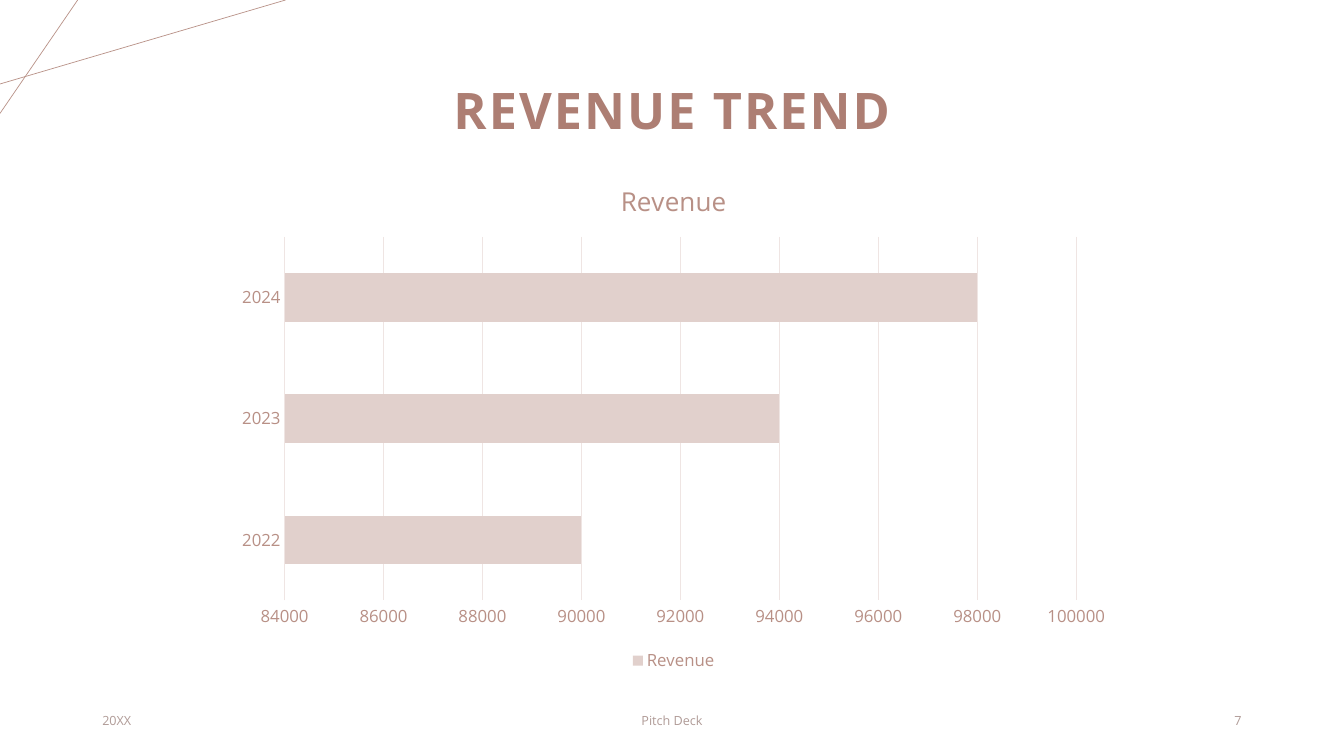
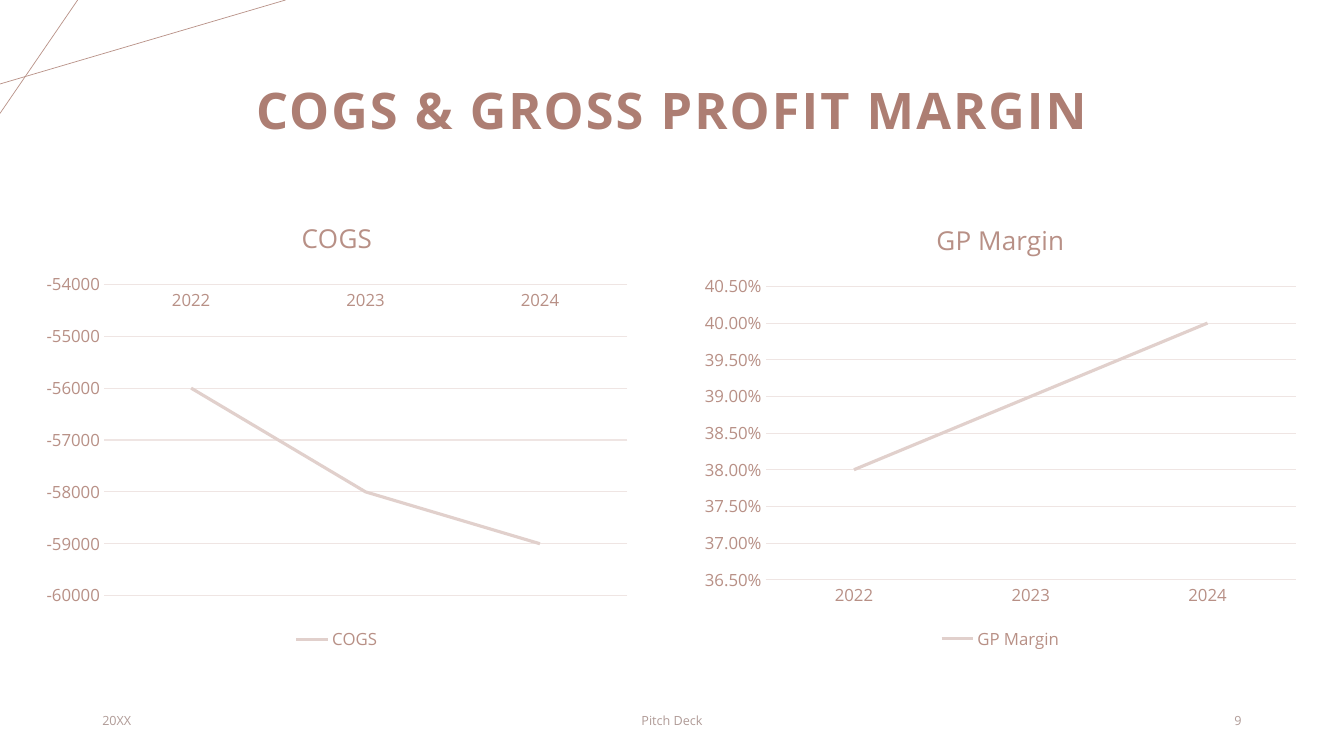
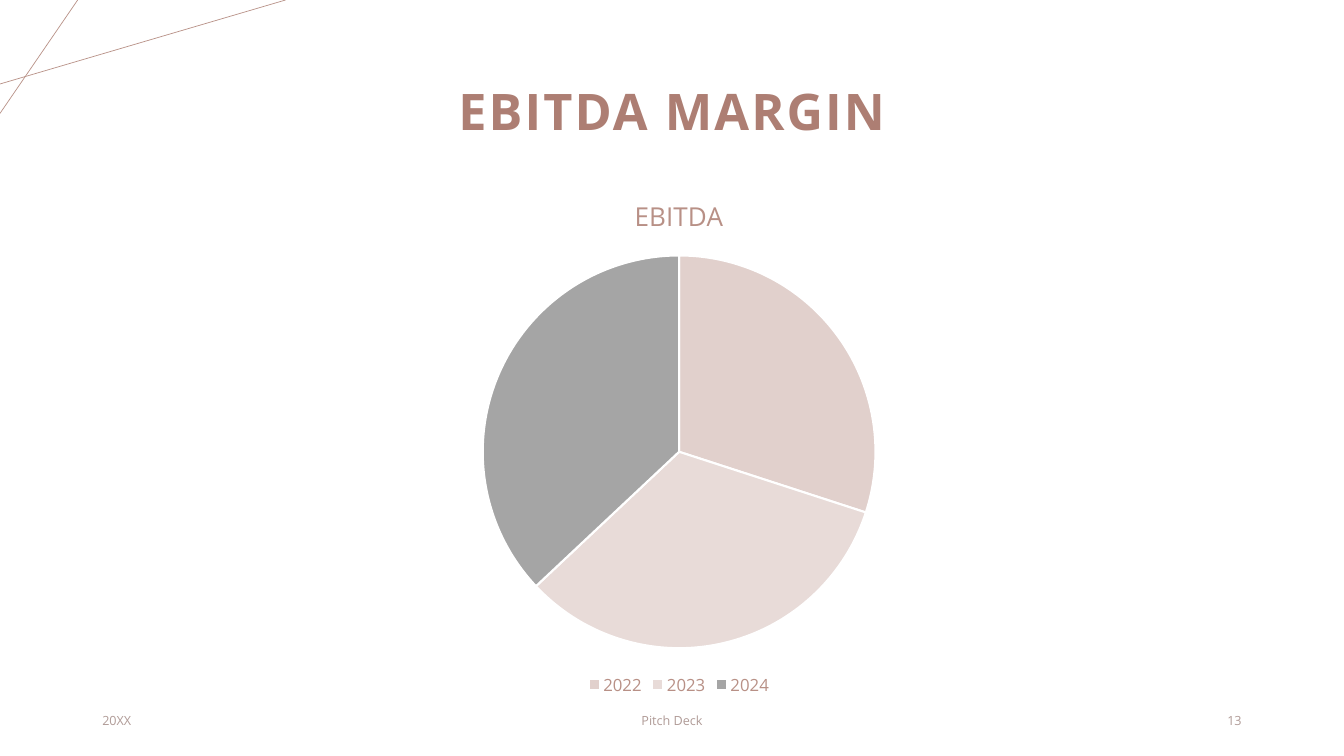
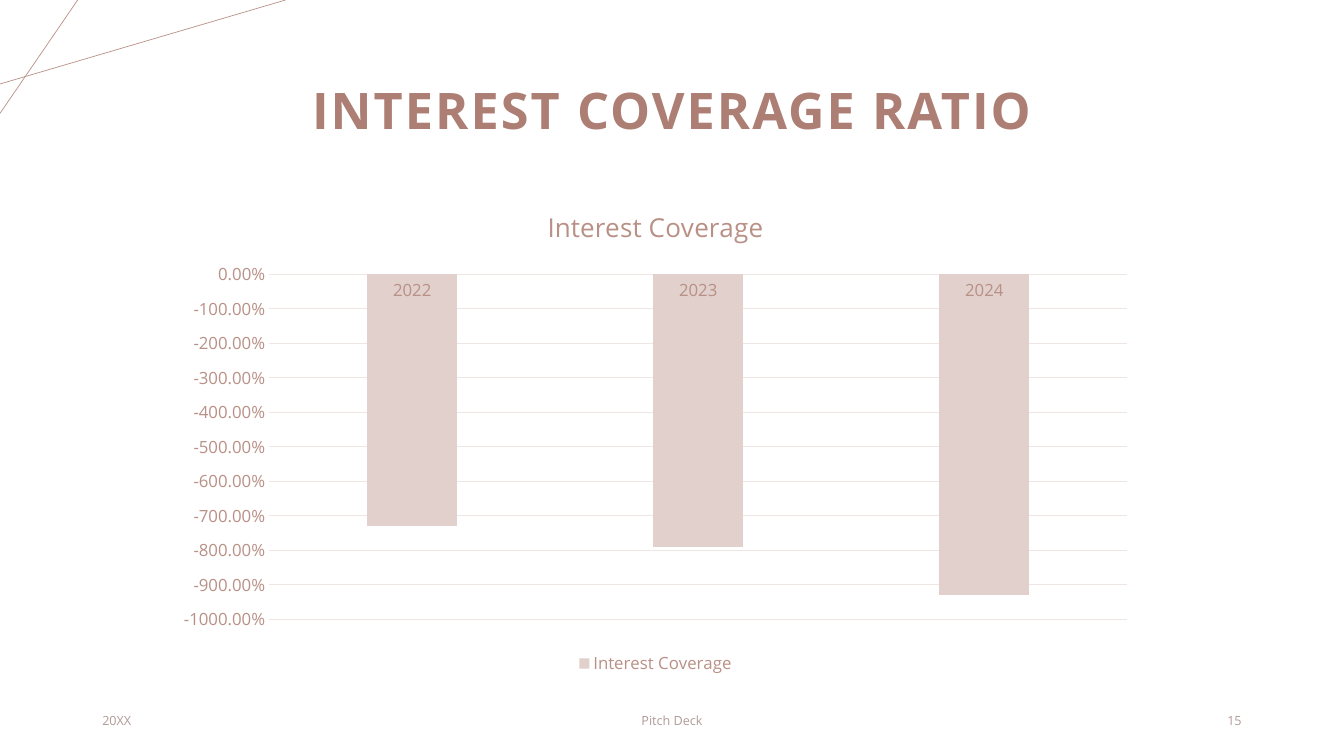
from lxml import etree
from pptx import Presentation
from pptx.chart.data import CategoryChartData
from pptx.dml.color import RGBColor
from pptx.enum.chart import XL_CHART_TYPE, XL_LEGEND_POSITION, XL_MARKER_STYLE, XL_TICK_MARK
from pptx.enum.shapes import MSO_CONNECTOR
from pptx.enum.text import MSO_ANCHOR, PP_ALIGN
from pptx.oxml.ns import qn
from pptx.util import Inches, Pt

BAR = XL_CHART_TYPE.BAR_CLUSTERED
COLUMN = XL_CHART_TYPE.COLUMN_CLUSTERED
LINE = XL_CHART_TYPE.LINE
LINE_STACKED = XL_CHART_TYPE.LINE_STACKED
PIE = XL_CHART_TYPE.PIE
BOTTOM = XL_LEGEND_POSITION.BOTTOM
NO_MARKER = XL_MARKER_STYLE.NONE
NO_TICK = XL_TICK_MARK.NONE
STRAIGHT = MSO_CONNECTOR.STRAIGHT
MIDDLE = MSO_ANCHOR.MIDDLE
LEFT, CENTER, RIGHT = PP_ALIGN.LEFT, PP_ALIGN.CENTER, PP_ALIGN.RIGHT

COLUMNS, ROWS = 160, 90
FONT = "Open Sans"
COLORS = {
    "title": "AD7E73",
    "footer": "B09B97",
    "accent_line": "B99288",
    "chart_text": "B89086",
    "grid": "EFE5E3",
    "series": "E1D0CC",
    "light": "E8DBD8",
    "gray": "A5A5A5",
    "white": "FFFFFF",
}
SLICES = ("series", "light", "gray")
YEARS = ("2022", "2023", "2024")


def color(name):
    return RGBColor.from_string(COLORS[name])


def style_font(font, size, name, bold=False):
    font.name = FONT
    font.size = Pt(size)
    font.bold = bold
    font.color.rgb = color(name)


def style_line(line, name, width):
    line.color.rgb = color(name)
    line.width = Pt(width)


class Deck:
    def __init__(self):
        self.presentation = Presentation()
        self.presentation.slide_width = Inches(13.333)
        self.presentation.slide_height = Inches(7.5)
        self.slide = None

    def across(self, columns):
        return round(self.presentation.slide_width * columns / COLUMNS)

    def down(self, rows):
        return round(self.presentation.slide_height * rows / ROWS)

    def box(self, left, top, width, height):
        return self.across(left), self.down(top), self.across(width), self.down(height)

    def add_slide(self, title, number, title_top=4.8):
        self.slide = self.presentation.slides.add_slide(self.presentation.slide_layouts[6])
        self.add_line(0, 10, 34, 0)
        self.add_line(9.25, 0, 0, 13.5)
        paragraph = self.add_text(title, (11, title_top, 138, 17.4), CENTER, 36, "title", True)
        paragraph.line_spacing = 0.9
        paragraph.runs[0].font._element.set("spc", "150")
        footers = (("20XX", 11, 36, LEFT), ("Pitch Deck", 53, 54, CENTER), (number, 113, 36, RIGHT))
        for text, left, width, alignment in footers:
            self.add_text(text, (left, 83.4, width, 4.8), alignment, 9, "footer")

    def add_line(self, start_column, start_row, end_column, end_row):
        connector = self.slide.shapes.add_connector(
            STRAIGHT, self.across(start_column), self.down(start_row),
            self.across(end_column), self.down(end_row))
        style_line(connector.line, "accent_line", 0.5)
        etree.SubElement(connector._element.spPr, qn("a:effectLst"))

    def add_text(self, text, place, alignment, size, color_name, bold=False):
        frame = self.slide.shapes.add_textbox(*self.box(*place)).text_frame
        frame.word_wrap = True
        frame.vertical_anchor = MIDDLE
        paragraph = frame.paragraphs[0]
        paragraph.alignment = alignment
        run = paragraph.add_run()
        run.text = text
        style_font(run.font, size, color_name, bold)
        return paragraph

    def add_chart(self, kind, title, values, place, number_format="General"):
        data = CategoryChartData(number_format=number_format)
        data.categories = YEARS
        data.add_series(title, values)
        chart = self.slide.shapes.add_chart(kind, *self.box(*place), data).chart
        style_font(chart.font, 12, "chart_text")
        chart.has_title = True
        run = chart.chart_title.text_frame.paragraphs[0].add_run()
        run.text = title
        style_font(run.font, 18.6, "chart_text")
        chart.has_legend = True
        chart.legend.position = BOTTOM
        chart.legend.include_in_layout = False
        style_font(chart.legend.font, 12, "chart_text")
        return chart

    def style_axes(self, chart, scale, number_format):
        category_axis, value_axis = chart.category_axis, chart.value_axis
        for axis in (category_axis, value_axis):
            axis.major_tick_mark = axis.minor_tick_mark = NO_TICK
            style_font(axis.tick_labels.font, 12, "chart_text")
        category_axis.has_major_gridlines = False
        style_line(category_axis.format.line, "grid", 0.75)
        value_axis.has_major_gridlines = True
        style_line(value_axis.major_gridlines.format.line, "grid", 0.75)
        value_axis.format.line.fill.background()
        value_axis.minimum_scale, value_axis.maximum_scale, value_axis.major_unit = scale
        value_axis.tick_labels.number_format = number_format
        value_axis.tick_labels.number_format_is_linked = False

    def add_bars(self, kind, title, values, place, scale, gap, overlap=0, number_format="General"):
        chart = self.add_chart(kind, title, values, place, number_format)
        self.style_axes(chart, scale, number_format)
        plot = chart.plots[0]
        plot.vary_by_categories = False
        plot.gap_width = gap
        plot.overlap = overlap
        series = plot.series[0]
        series.invert_if_negative = False
        series.format.fill.solid()
        series.format.fill.fore_color.rgb = color("series")

    def add_trend(self, kind, title, values, place, scale, number_format="General"):
        chart = self.add_chart(kind, title, values, place, number_format)
        self.style_axes(chart, scale, number_format)
        plot = chart.plots[0]
        plot.vary_by_categories = False
        series = plot.series[0]
        series.smooth = False
        series.marker.style = NO_MARKER
        style_line(series.format.line, "series", 2.25)

    def add_pie(self, title, values, place):
        plot = self.add_chart(PIE, title, values, place).plots[0]
        plot.vary_by_categories = True
        for index, name in enumerate(SLICES):
            point_format = plot.series[0].points[index].format
            point_format.fill.solid()
            point_format.fill.fore_color.rgb = color(name)
            style_line(point_format.line, "white", 1.5)


def main():
    deck = Deck()

    deck.add_slide("REVENUE TREND", "7")
    deck.add_bars(BAR, "Revenue", (90000, 94000, 98000), (26.7, 19, 107, 61.5),
                  (84000, 100000, 2000), 150)

    deck.add_slide("COGS & GROSS PROFIT MARGIN", "9")
    deck.add_trend(LINE_STACKED, "COGS", (-56000, -58000, -59000), (4.1, 23.55, 72, 54.4),
                   (-60000, -54000, 1000))
    deck.add_trend(LINE, "GP Margin", (0.38, 0.39, 0.4), (82.45, 23.8, 73.3, 54.1),
                   (0.365, 0.405, 0.005), "0.00%")

    deck.add_slide("EBITDA MARGIN", "13", 4.92)
    deck.add_pie("EBITDA", (30, 33, 37), (22.95, 20.75, 115.8, 62.65))

    deck.add_slide("INTEREST COVERAGE RATIO", "15")
    deck.add_bars(COLUMN, "Interest Coverage", (-7.3, -7.9, -9.3), (19.55, 22.2, 117, 58.65),
                  (-10, 0, 1), 219, -27, "0.00%")

    deck.presentation.save("out.pptx")


if __name__ == "__main__":
    main()
